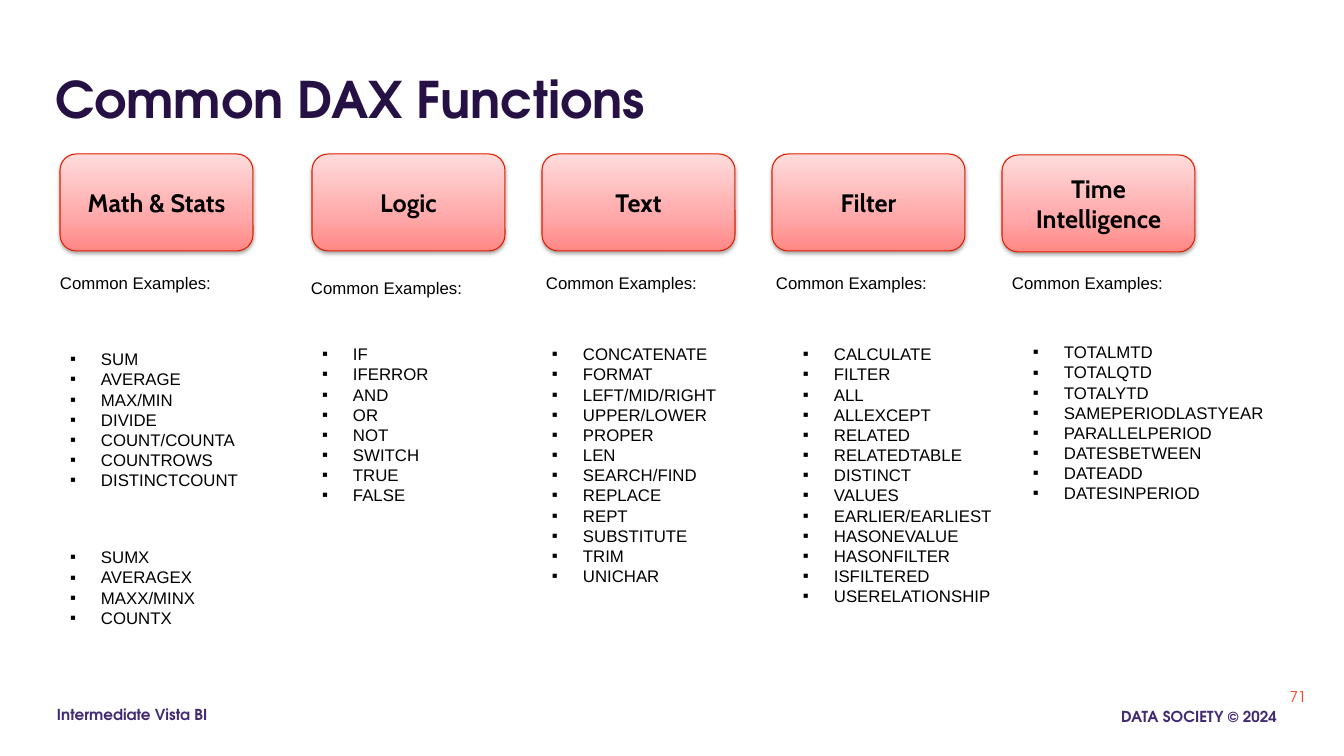
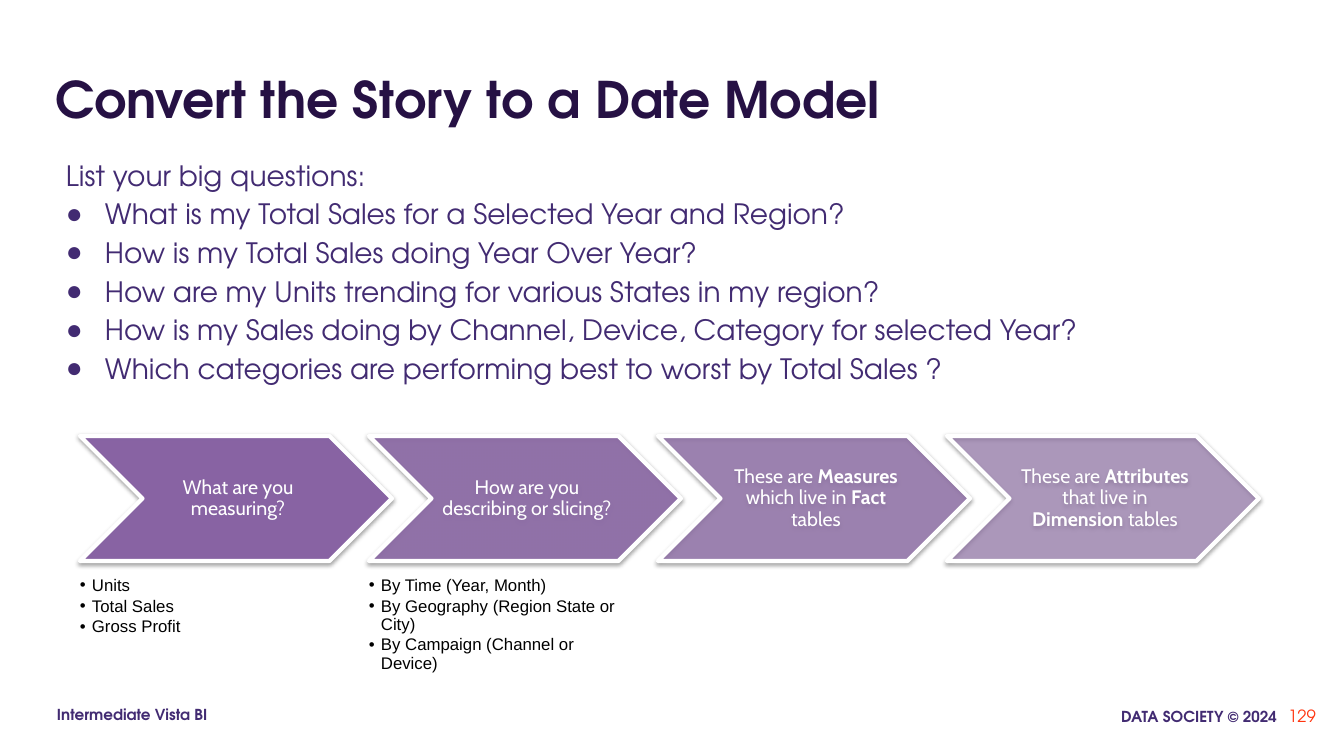
from copy import deepcopy
from dataclasses import dataclass, replace

from lxml.etree import SubElement
from pptx import Presentation
from pptx.dml.color import RGBColor
from pptx.enum.shapes import MSO_SHAPE
from pptx.enum.text import MSO_ANCHOR, MSO_AUTO_SIZE, PP_ALIGN
from pptx.oxml.ns import qn
from pptx.util import Emu, Pt

SLIDE_W, SLIDE_H = 1344, 756
EMU_PER_PX = 12192000 / SLIDE_W

COLORS = {
    "title": "261144",
    "purple": "422B72",
    "chevron": "845BA3",
    "accent": "FF350F",
    "button_line": "DF2000",
    "button_dark": "FF8784",
    "button_mid": "FFA9AA",
    "button_light": "FFDBDB",
    "black": "000000",
    "white": "FFFFFF",
}


def px(length):
    return Emu(round(length * EMU_PER_PX))


def rgb(name):
    return RGBColor.from_string(COLORS[name])


@dataclass(frozen=True)
class TextStyle:
    """Paragraph look; left and hang are the indents in px."""
    size: float
    color: str = "black"
    font: str = "Arial"
    bold: bool = False
    align: PP_ALIGN = PP_ALIGN.LEFT
    spacing: float = 1.0
    before: float = 0
    bullet: str = ""
    left: int = 0
    hang: int = 0


HEADING_FONT = "TeX Gyre Adventor"
TITLE = TextStyle(36, "title", HEADING_FONT, True)
FOOTER = TextStyle(10.8, "purple", HEADING_FONT, True)
FOOTER_RIGHT = replace(FOOTER, align=PP_ALIGN.RIGHT)
PAGE_NUMBER = TextStyle(12, "accent", HEADING_FONT, align=PP_ALIGN.RIGHT)
LEAD = TextStyle(20, "purple", HEADING_FONT, spacing=1.15, left=11)
QUESTION = replace(LEAD, bullet="●", left=50, hang=39)
BUTTON = TextStyle(18, font="Cabin", bold=True, align=PP_ALIGN.CENTER)
STEP = TextStyle(14, "white", "Cabin", align=PP_ALIGN.CENTER, spacing=0.9)
LABEL = TextStyle(12)
FUNCTION = replace(LABEL, bullet="▪", left=31, hang=31)
DETAIL = replace(LABEL, spacing=0.9, before=1.8, bullet="•", left=12, hang=12)


class Deck:
    def __init__(self):
        self.prs = Presentation()
        self.prs.slide_width, self.prs.slide_height = px(SLIDE_W), px(SLIDE_H)
        self.slide = None

    def new_slide(self, title, number, number_at, number_size):
        self.slide = self.prs.slides.add_slide(self.prs.slide_layouts[5])
        heading = self.slide.shapes.title
        heading.left, heading.top, heading.width, heading.height = map(px, (45, 58, 1252, 85))
        self.fill_frame(heading.text_frame, (TITLE, [title]), insets=(10, 10, 10, 10))
        self.text((1065, 695, 224, 42), (FOOTER_RIGHT, ["DATA SOCIETY © 2024"]), insets=(12,) * 4)
        self.text((45, 693, 276, 42), (FOOTER, ["Intermediate Vista BI"]), insets=(12,) * 4)
        self.text((*number_at, 81, 42), (replace(PAGE_NUMBER, size=number_size), [number]),
                  insets=(10,) * 4, anchor=MSO_ANCHOR.MIDDLE)

    def fill_frame(self, frame, *blocks, insets=(10, 5, 10, 5), anchor=MSO_ANCHOR.TOP):
        """Fill a frame with (style, lines) blocks; **stars** enclose bold words."""
        frame.word_wrap = True
        frame.auto_size = MSO_AUTO_SIZE.NONE
        frame.vertical_anchor = anchor
        (frame.margin_left, frame.margin_top,
         frame.margin_right, frame.margin_bottom) = map(px, insets)
        styled_lines = [(style, line) for style, lines in blocks for line in lines]
        for index, (style, line) in enumerate(styled_lines):
            paragraph = frame.add_paragraph() if index else frame.paragraphs[0]
            self.format_paragraph(paragraph, style, first=index == 0)
            for part, words in enumerate(line.split("**")):
                run = paragraph.add_run()
                run.text = words
                if part % 2:
                    run.font.bold = True

    def format_paragraph(self, paragraph, style, first):
        paragraph.alignment = style.align
        paragraph.line_spacing = style.spacing
        paragraph.space_before = Pt(0 if first else style.before)
        properties = paragraph._p.get_or_add_pPr()
        properties.set("marL", str(px(style.left)))
        properties.set("indent", str(-px(style.hang)))
        if style.bullet:
            bullet_color = SubElement(properties, qn("a:buClr"))
            SubElement(bullet_color, qn("a:srgbClr"), val=COLORS[style.color])
            SubElement(properties, qn("a:buFont"), typeface="Arial")
            SubElement(properties, qn("a:buChar"), char=style.bullet)
        font = paragraph.font
        font.name, font.size, font.bold = style.font, Pt(style.size), style.bold
        font.color.rgb = rgb(style.color)

    def text(self, box, *blocks, **frame_options):
        textbox = self.slide.shapes.add_textbox(*map(px, box))
        self.fill_frame(textbox.text_frame, *blocks, **frame_options)

    def raised_shape(self, kind, box, adjustment, line_color, line_width):
        """Add an outlined shape with a soft shadow below it."""
        shape = self.slide.shapes.add_shape(kind, *map(px, box))
        shape.adjustments[0] = adjustment
        shape.line.color.rgb = rgb(line_color)
        shape.line.width = Pt(line_width)
        shape.shadow.inherit = False
        effects = shape._element.spPr.find(qn("a:effectLst"))
        shadow = SubElement(effects, qn("a:outerShdw"), blurRad=str(Pt(3.1)),
                            dist=str(Pt(1.6)), dir="5400000", rotWithShape="0")
        shade = SubElement(shadow, qn("a:srgbClr"), val=COLORS["black"])
        SubElement(shade, qn("a:alpha"), val="37000")
        return shape

    def button(self, x, y, caption):
        shape = self.raised_shape(MSO_SHAPE.ROUNDED_RECTANGLE, (x, y, 193, 97),
                                  0.167, "button_line", 0.75)
        shape.fill.gradient()
        shape.fill.gradient_angle = 90
        stops = shape._element.spPr.find(".//" + qn("a:gsLst"))
        stops.append(deepcopy(stops[0]))
        gradient = ((0, "button_dark"), (0.35, "button_mid"), (1, "button_light"))
        for stop, (position, color) in zip(shape.fill.gradient_stops, gradient):
            stop.position = position
            stop.color.rgb = rgb(color)
        self.fill_frame(shape.text_frame, (BUTTON, [caption]), anchor=MSO_ANCHOR.MIDDLE)

    def chevron(self, x, y, caption, opacity):
        shape = self.raised_shape(MSO_SHAPE.CHEVRON, (x, y, 312, 125), 0.5, "white", 3)
        shape.fill.solid()
        shape.fill.fore_color.rgb = rgb("chevron")
        fill_color = shape._element.spPr.find(qn("a:solidFill"))[0]
        SubElement(fill_color, qn("a:alpha"), val=str(opacity * 1000))
        self.fill_frame(shape.text_frame, (STEP, [caption]), insets=(6, 2, 2, 2),
                        anchor=MSO_ANCHOR.MIDDLE)


# Caption, button position, label position, then lists as (x, y, width, names)
FUNCTION_GROUPS = [
    ("Math & Stats", (60, 154), (50, 268), [
        (60, 344, 203, "SUM AVERAGE MAX/MIN DIVIDE COUNT/COUNTA COUNTROWS DISTINCTCOUNT"),
        (60, 542, 203, "SUMX AVERAGEX MAXX/MINX COUNTX"),
    ]),
    ("Logic", (312, 154), (301, 273), [
        (312, 339, 203, "IF IFERROR AND OR NOT SWITCH TRUE FALSE"),
    ]),
    ("Text", (542, 154), (536, 268), [
        (542, 339, 230, "CONCATENATE FORMAT LEFT/MID/RIGHT UPPER/LOWER PROPER LEN "
                        "SEARCH/FIND REPLACE REPT SUBSTITUTE TRIM UNICHAR"),
    ]),
    ("Filter", (772, 154), (766, 268), [
        (793, 339, 230, "CALCULATE FILTER ALL ALLEXCEPT RELATED RELATEDTABLE DISTINCT "
                        "VALUES EARLIER/EARLIEST HASONEVALUE HASONFILTER ISFILTERED "
                        "USERELATIONSHIP"),
    ]),
    ("Time Intelligence", (1002, 155), (1002, 268), [
        (1023, 337, 275, "TOTALMTD TOTALQTD TOTALYTD SAMEPERIODLASTYEAR PARALLELPERIOD "
                         "DATESBETWEEN DATEADD DATESINPERIOD"),
    ]),
]

QUESTIONS = [
    "What is my Total Sales for a Selected Year and Region?",
    "How is my Total Sales doing Year Over Year?",
    "How are my Units trending for various States in my region?",
    "How is my Sales doing by Channel, Device, Category for selected Year?",
    "Which categories are performing best to worst by Total Sales ?",
]

# Caption, fill opacity in percent, details below
STEPS = [
    ("What are you measuring?", 89, ["Units", "Total Sales", "Gross Profit"]),
    ("How are you describing or slicing?", 76, [
        "By Time (Year, Month)",
        "By Geography (Region State or City)",
        "By Campaign (Channel or Device)",
    ]),
    ("These are **Measures** which live in **Fact** tables", 63, []),
    ("These are **Attributes** that live in **Dimension** tables", 49, []),
]


def add_functions_slide(deck):
    deck.new_slide("Common DAX Functions", "71", (1235, 676), 10.5)
    for caption, button_at, label_at, lists in FUNCTION_GROUPS:
        deck.button(*button_at, caption)
        deck.text((*label_at, 180, 30), (LABEL, ["Common Examples:"]))
        for x, y, width, names in lists:
            functions = names.split()
            deck.text((x, y, width, 10 + 20 * len(functions)), (FUNCTION, functions))


def add_model_slide(deck):
    deck.new_slide("Convert the Story to a Date Model", "129", (1245, 695), 12)
    deck.text((45, 143, 1252, 261), (LEAD, ["List your big questions:"]),
              (QUESTION, QUESTIONS), insets=(10,) * 4)
    for index, (caption, opacity, details) in enumerate(STEPS):
        x = 80 + 289 * index
        deck.chevron(x, 436, caption, opacity)
        if details:
            deck.text((x, 577, 250, 129), (DETAIL, details), insets=(0,) * 4)


def main():
    deck = Deck()
    add_functions_slide(deck)
    add_model_slide(deck)
    deck.prs.save("out.pptx")


if __name__ == "__main__":
    main()
